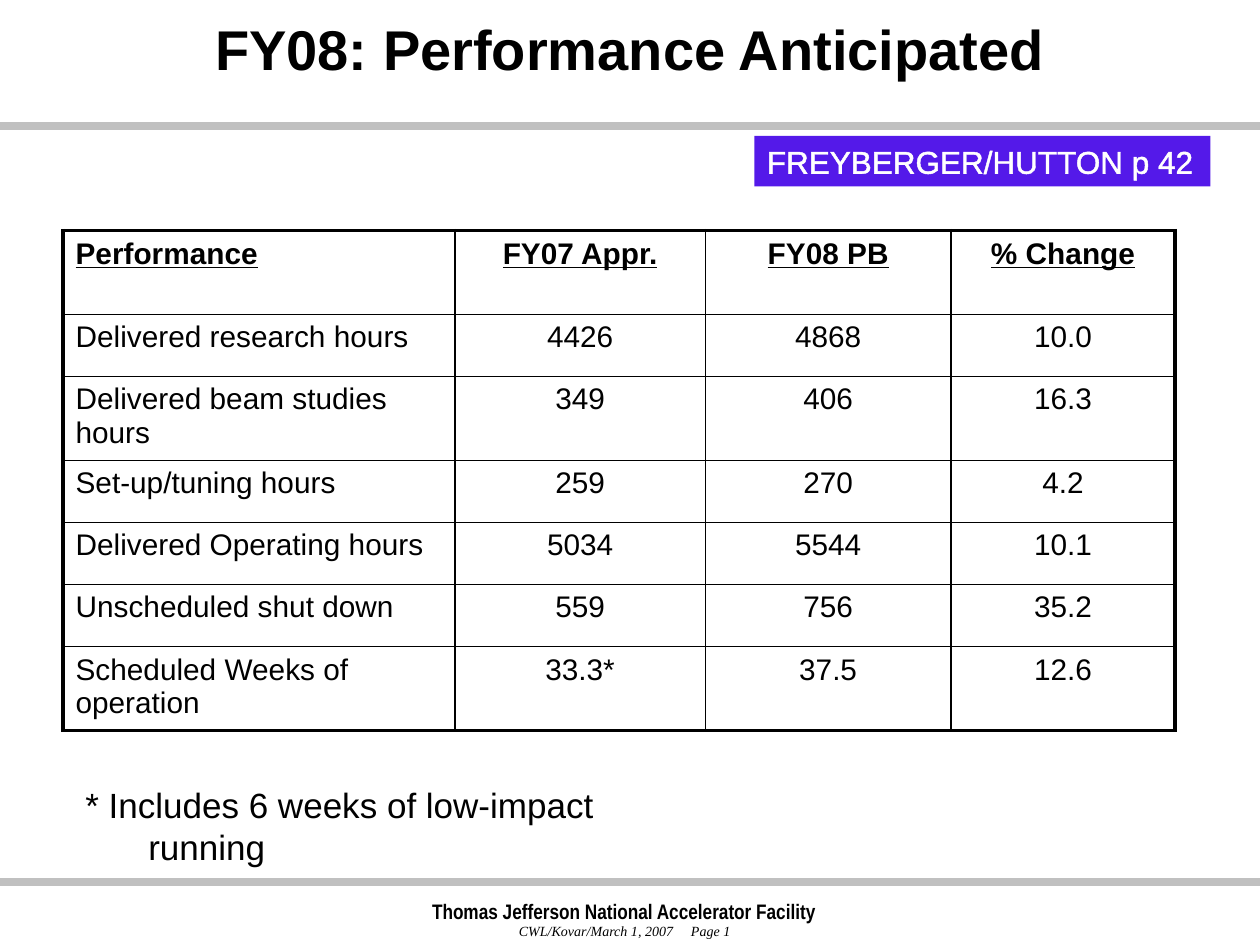
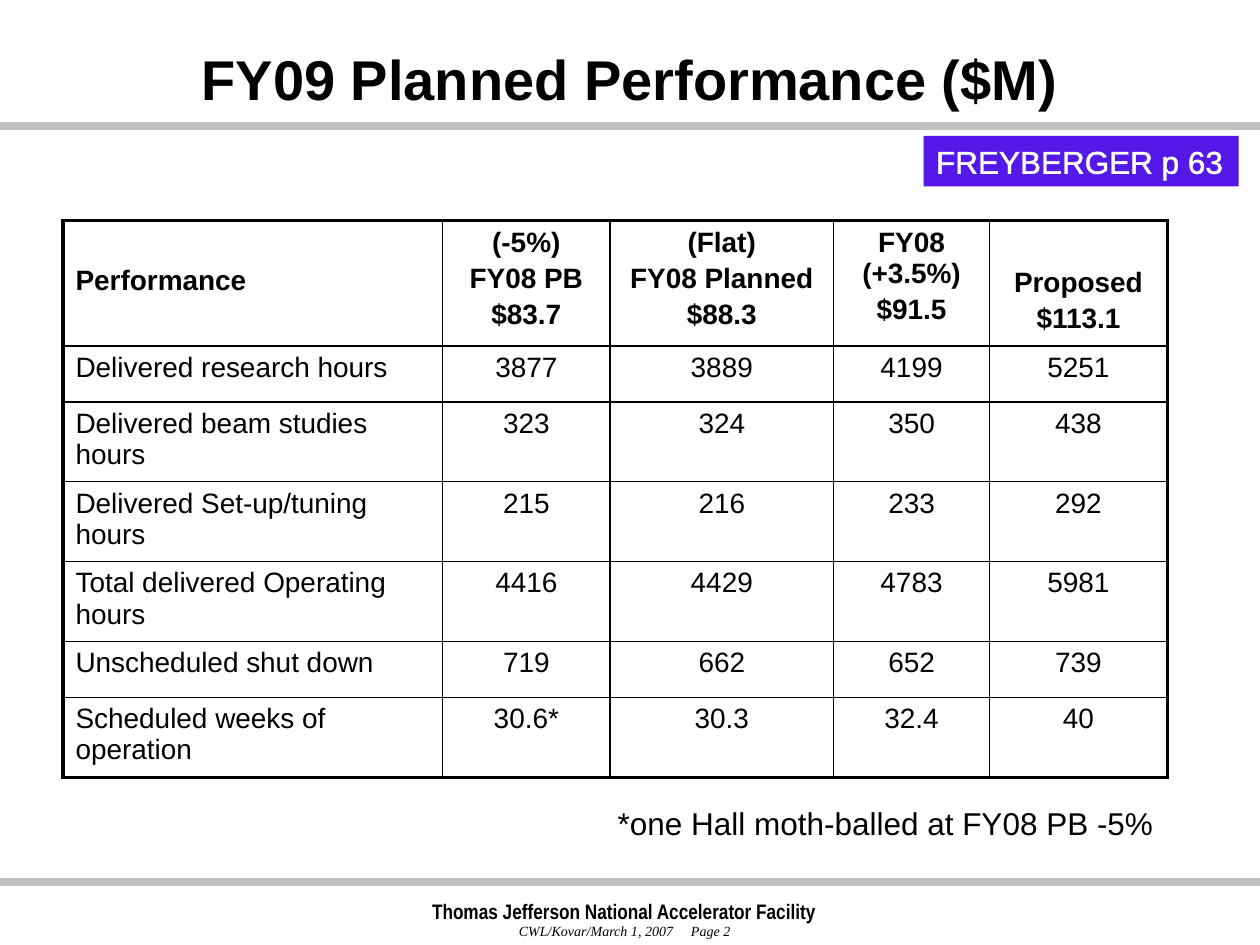
import lxml.etree
import pptx
import pptx.dml.color
import pptx.enum.shapes
import pptx.enum.text
import pptx.oxml.ns
import pptx.util

Cm = pptx.util.Cm
Pt = pptx.util.Pt
qn = pptx.oxml.ns.qn
ALIGN = pptx.enum.text.PP_ALIGN
ANCHOR = pptx.enum.text.MSO_ANCHOR

COLOURS = {"ink": "000000", "band": "C0C0C0", "badge": "5419E9", "badge_text": "FFFFFF"}
PAGE_WIDTH, PAGE_HEIGHT = 25.4, 19.05
BAND_TOPS = (2.54, 17.78)
OUTER_BORDER, INNER_BORDER = 2.25, 1

PERFORMANCE_FY08 = [
    ["Performance", "FY07 Appr.", "FY08 PB", "% Change"],
    ["Delivered research hours", "4426", "4868", "10.0"],
    ["Delivered beam studies hours", "349", "406", "16.3"],
    ["Set-up/tuning hours", "259", "270", "4.2"],
    ["Delivered Operating hours", "5034", "5544", "10.1"],
    ["Unscheduled shut down", "559", "756", "35.2"],
    ["Scheduled Weeks of operation", "33.3*", "37.5", "12.6"],
]
PERFORMANCE_FY09 = [
    ["Performance", "(-5%)\nFY08 PB\n$83.7", "(Flat)\nFY08 Planned\n$88.3",
     "FY08 (+3.5%)\n$91.5", "Proposed\n$113.1"],
    ["Delivered research hours", "3877", "3889", "4199", "5251"],
    ["Delivered beam studies hours", "323", "324", "350", "438"],
    ["Delivered Set-up/tuning hours", "215", "216", "233", "292"],
    ["Total delivered Operating hours", "4416", "4429", "4783", "5981"],
    ["Unscheduled shut down", "719", "662", "652", "739"],
    ["Scheduled weeks of operation", "30.6*", "30.3", "32.4", "40"],
]


def colour(name):
    return pptx.dml.color.RGBColor.from_string(COLOURS[name])


def style(paragraph, size, face="Arial", ink="ink", align=ALIGN.LEFT,
          bold=False, italic=False, underline=False):
    paragraph.alignment = align
    font = paragraph.font
    font.size, font.name = Pt(size), face
    font.bold, font.italic, font.underline = bold, italic, underline
    font.color.rgb = colour(ink)


def add_text(page, text, left, top, width, height, size, wrap=True, **looks):
    box = page.shapes.add_textbox(Cm(left), Cm(top), Cm(width), Cm(height))
    box.text_frame.word_wrap = wrap
    paragraph = box.text_frame.paragraphs[0]
    paragraph.text = text
    return box, paragraph, style(paragraph, size, **looks)


def add_title(page, text, top):
    title = page.shapes.title
    title.left, title.top = Cm(0), Cm(top)
    title.width, title.height = Cm(PAGE_WIDTH), Cm(1.45)
    frame = title.text_frame
    frame.text = text
    frame.auto_size = pptx.enum.text.MSO_AUTO_SIZE.NONE
    frame.vertical_anchor = ANCHOR.MIDDLE
    style(frame.paragraphs[0], 32, align=ALIGN.CENTER, bold=True)


def add_band(page, top):
    band = page.shapes.add_connector(
        pptx.enum.shapes.MSO_CONNECTOR.STRAIGHT, Cm(0), Cm(top), Cm(PAGE_WIDTH), Cm(top))
    band.line.color.rgb = colour("band")
    band.line.width = Pt(5)
    lxml.etree.SubElement(band._element.spPr, qn("a:effectLst"))


def add_footer(page, number):
    add_text(page, "Thomas Jefferson National Accelerator Facility",
             8.46, 17.98, 8.28, 0.76, 12, wrap=False, face="Arial Narrow", bold=True)
    box, paragraph, _ = add_text(page, "", 10.46, 18.47, 5, 0.58, 8)
    box.text_frame.margin_left = 0
    properties = paragraph._p.get_or_add_pPr()
    properties.clear()
    tabs = lxml.etree.SubElement(properties, qn("a:tabLst"))
    lxml.etree.SubElement(tabs, qn("a:tab"), pos=str(Cm(3.47)), algn="l")
    paragraph.text = f"CWL/Kovar/March 1, 2007\tPage {number}"
    style(paragraph, 8, face="Times New Roman", italic=True)


def add_badge(page, text, left, width):
    badge = page.shapes.add_shape(pptx.enum.shapes.MSO_SHAPE.RECTANGLE,
                                  Cm(left), Cm(2.74), Cm(width), Cm(1.02))
    badge.shadow.inherit = False
    badge.fill.solid()
    badge.fill.fore_color.rgb = colour("badge")
    badge.line.fill.background()
    badge.text_frame.word_wrap = False
    paragraph = badge.text_frame.paragraphs[0]
    paragraph.text = text
    style(paragraph, 18, ink="badge_text")
    properties = paragraph.runs[0]._r.get_or_add_rPr()
    add_line(properties, "a:ln", 1.45, "badge_text")


def add_footnote(page, text, left, top, width, size, align=ALIGN.LEFT):
    _, paragraph, _ = add_text(page, text, left, top, width, 1.02, size, align=align)
    properties = paragraph._p.get_or_add_pPr()
    properties.set("marL", str(Cm(1.27)))
    properties.set("indent", str(-Cm(1.27)))


def add_line(parent, tag, width, ink):
    line = lxml.etree.SubElement(parent, qn(tag), w=str(Pt(width)))
    fill = lxml.etree.SubElement(line, qn("a:solidFill"))
    lxml.etree.SubElement(fill, qn("a:srgbClr"), val=COLOURS[ink])


def border_cell(cell, at_left, at_right, at_top, at_bottom):
    properties = cell._tc.get_or_add_tcPr()
    edges = {"a:lnL": at_left, "a:lnR": at_right, "a:lnT": at_top, "a:lnB": at_bottom}
    for tag, outer in edges.items():
        add_line(properties, tag, OUTER_BORDER if outer else INNER_BORDER, "ink")
    cell.fill.background()


def add_performance_table(page, rows, top, widths, heights, size, underline=False):
    last_row, last_column = len(rows) - 1, len(widths) - 1
    frame = page.shapes.add_table(len(rows), len(widths), Cm(1.27), Cm(top),
                                  Cm(sum(widths)), Cm(sum(heights)))
    table = frame.table
    table.first_row = table.horz_banding = False
    for column, width in zip(table.columns, widths):
        column.width = Cm(width)
    for row, height in zip(table.rows, heights):
        row.height = Cm(height)
    for r, texts in enumerate(rows):
        for c, text in enumerate(texts):
            cell = table.cell(r, c)
            cell.text = text
            for index, paragraph in enumerate(cell.text_frame.paragraphs):
                if index:
                    paragraph.space_before = Pt(3)
                style(paragraph, size, align=ALIGN.CENTER if c else ALIGN.LEFT,
                      bold=r == 0, underline=underline and r == 0)
            border_cell(cell, c == 0, c == last_column, r == 0, r == last_row)
    return table


def add_page(deck, title, title_top, number):
    page = deck.slides.add_slide(deck.slide_layouts[5])
    add_title(page, title, title_top)
    for top in BAND_TOPS:
        add_band(page, top)
    add_footer(page, number)
    return page


def build_fy08(deck):
    page = add_page(deck, "FY08: Performance Anticipated", 0.25, 1)
    single, double = 1.25, 1.69
    add_performance_table(page, PERFORMANCE_FY08, 4.65, [7.9, 5.05, 4.95, 4.52],
                          [double, single, double, single, single, single, double],
                          17, underline=True)
    add_footnote(page, "* Includes 6 weeks of low-impact running", 1.47, 15.67, 12.9, 20)
    add_badge(page, "FREYBERGER/HUTTON p 42", 15.21, 9.19)


def build_fy09(deck):
    page = add_page(deck, "FY09 Planned Performance ($M)", 0.84, 2)
    header, single, double = 2.52, 1.13, 1.61
    table = add_performance_table(page, PERFORMANCE_FY09, 4.45, [7.65, 3.38, 4.5, 3.15, 3.58],
                                  [header, single, double, double, double, single, double], 16)
    for column, anchor in ((0, ANCHOR.MIDDLE), (4, ANCHOR.BOTTOM)):
        cell = table.cell(0, column)
        cell.vertical_anchor = anchor
        cell.margin_bottom = Cm(0.23)
    add_footnote(page, "*one Hall moth-balled at FY08 PB -5%", 8.46, 16.08, 15.04, 18,
                 align=ALIGN.RIGHT)
    add_badge(page, "FREYBERGER p 63", 18.62, 6.35)


def main():
    deck = pptx.Presentation()
    deck.slide_width, deck.slide_height = Cm(PAGE_WIDTH), Cm(PAGE_HEIGHT)
    build_fy08(deck)
    build_fy09(deck)
    deck.save("out.pptx")


if __name__ == "__main__":
    main()
